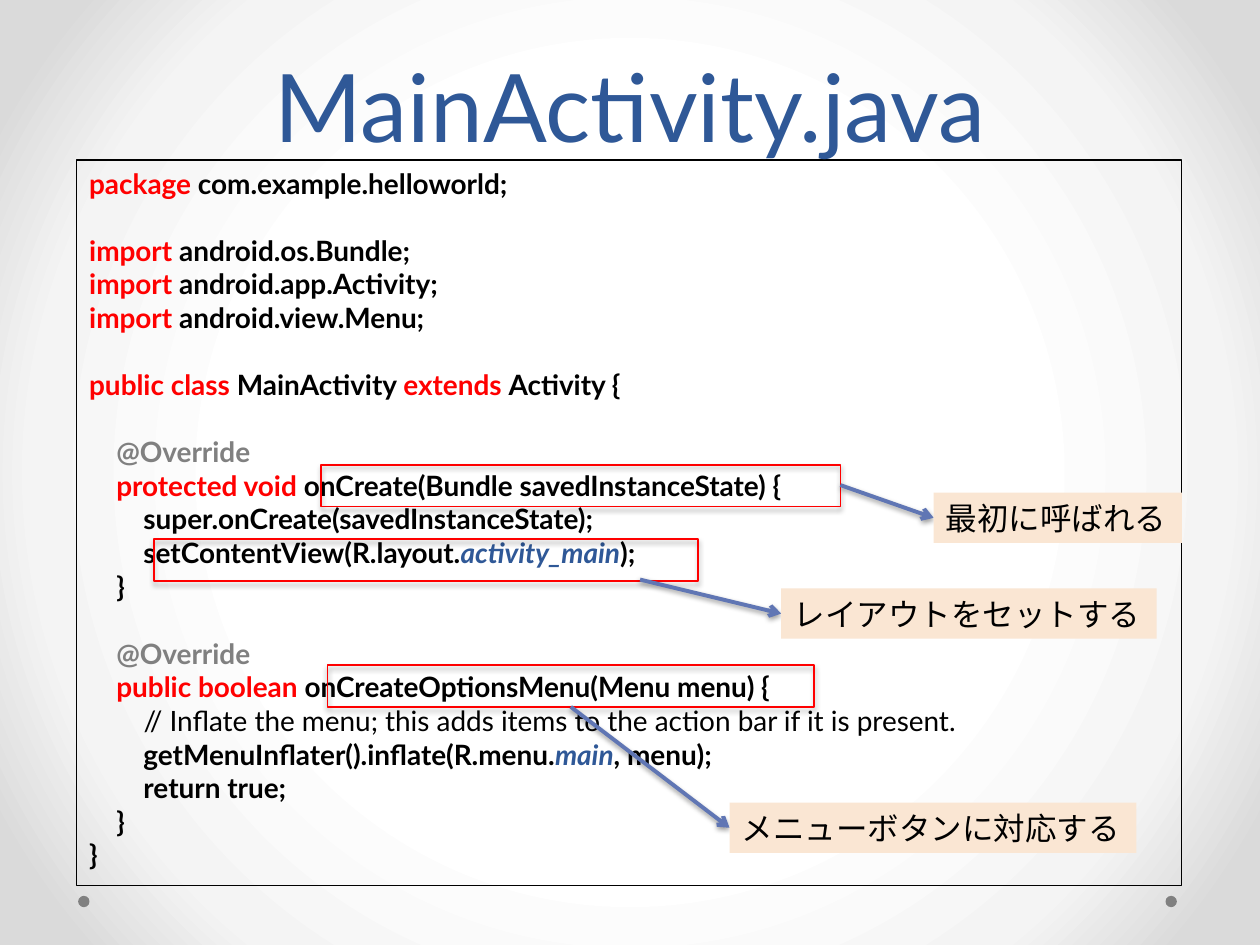
from lxml.etree import SubElement
from pptx import Presentation
from pptx.dml.color import RGBColor
from pptx.enum.shapes import MSO_CONNECTOR, MSO_SHAPE
from pptx.enum.text import MSO_ANCHOR, MSO_AUTO_SIZE, PP_ALIGN
from pptx.oxml import parse_xml
from pptx.oxml.ns import nsdecls, qn
from pptx.util import Inches, Pt

FONT = "Lato"
BLACK = "000000"
RED = "FF0000"
GRAY = "808080"
BLUE = "2F5897"
ARROW_BLUE = "6076B4"
PEACH = "FAE6D3"
CODE_LINE = 19.2

KEYWORD = {"color": RED, "bold": True}
PLAIN = {"color": BLACK, "bold": True}
ANNOTATION = {"color": GRAY, "bold": True}
RESOURCE = {"color": BLUE, "bold": True, "italic": True}
COMMENT = {"color": BLACK}

CODE_BLOCKS = [
    [[("package ", KEYWORD), ("com.example.helloworld;", PLAIN)]],
    [
        [("import ", KEYWORD), (name, PLAIN)]
        for name in ("android.os.Bundle;", "android.app.Activity;", "android.view.Menu;")
    ],
    [[("public class ", KEYWORD), ("MainActivity ", PLAIN),
      ("extends ", KEYWORD), ("Activity {", PLAIN)]],
    [
        [("    @Override", ANNOTATION)],
        [("    protected void ", KEYWORD), ("onCreate(Bundle savedInstanceState) {", PLAIN)],
        [("        super.onCreate(savedInstanceState);", PLAIN)],
        [("        setContentView(R.layout.", PLAIN), ("activity_main", RESOURCE), (");", PLAIN)],
        [("    }", PLAIN)],
    ],
    [
        [("    @Override", ANNOTATION)],
        [("    public boolean ", KEYWORD), ("onCreateOptionsMenu(Menu menu) {", PLAIN)],
        [("        ", PLAIN),
         ("// Inflate the menu; this adds items to the action bar if it is present.", COMMENT)],
        [("        getMenuInflater().inflate(R.menu.", PLAIN), ("main", RESOURCE),
         (", menu);", PLAIN)],
        [("        return true;", PLAIN)],
        [("    }", PLAIN)],
        [("}", PLAIN)],
    ],
]

CALLOUTS = [
    ("メニューボタンに対応する", (2.6, 5.28, 3.86, 0.33), (4.53, 5.61), (5.79, 6.37, 3.23, 0.4)),
    ("最初に呼ばれる", (2.55, 3.69, 4.12, 0.33), (6.67, 3.85), (7.41, 3.91, 1.97, 0.4)),
    ("レイアウトをセットする", (1.22, 4.28, 4.32, 0.33), (5.08, 4.6), (6.2, 4.67, 2.98, 0.4)),
]


def rgb(value):
    return RGBColor.from_string(value)


def add_text(paragraph, text, size=16, color=BLACK, bold=False, italic=False):
    run = paragraph.add_run()
    run.text = text
    run.font.name = FONT
    run.font.size = Pt(size)
    run.font.bold = bold
    run.font.italic = italic
    run.font.color.rgb = rgb(color)


def add_box(slide, box, fill=None, line=None, width=1, kind=MSO_SHAPE.RECTANGLE):
    shape = slide.shapes.add_shape(kind, *map(Inches, box))
    if fill:
        shape.fill.solid()
        shape.fill.fore_color.rgb = rgb(fill)
    else:
        shape.fill.background()
    if line:
        shape.line.color.rgb = rgb(line)
        shape.line.width = Pt(width)
    else:
        shape.line.fill.background()
    shape.shadow.inherit = False
    frame = shape.text_frame
    frame.vertical_anchor = MSO_ANCHOR.TOP
    frame.paragraphs[0].alignment = PP_ALIGN.LEFT
    return shape


def add_shadow(shape, distance, opacity):
    properties = shape._element.spPr
    effects = properties.find(qn("a:effectLst"))
    if effects is None:
        effects = SubElement(properties, qn("a:effectLst"))
    effects.append(parse_xml(
        f'<a:outerShdw {nsdecls("a")} blurRad="{Pt(3.1)}" dist="{Pt(distance)}" '
        f'dir="5400000" rotWithShape="0"><a:srgbClr val="{BLACK}">'
        f'<a:alpha val="{opacity * 1000}"/></a:srgbClr></a:outerShdw>'
    ))


def add_background(slide):
    slide.background.fill.solid()
    properties = slide.background._cSld.bg.bgPr
    stops = "".join(
        f'<a:gs pos="{position * 1000}"><a:srgbClr val="{color}"/></a:gs>'
        for position, color in ((50, "FFFFFF"), (76, "F4F4F4"), (92, "DADADA"))
    )
    gradient = parse_xml(
        f'<a:gradFill {nsdecls("a")} rotWithShape="1"><a:gsLst>{stops}</a:gsLst>'
        '<a:path path="circle"><a:fillToRect l="50000" t="50000" r="50000" b="50000"/>'
        '</a:path></a:gradFill>'
    )
    properties.replace(properties.find(qn("a:solidFill")), gradient)
    for left in (9.25, 0.62):
        add_box(slide, (left, 7.11, 0.09, 0.09), fill=GRAY, kind=MSO_SHAPE.OVAL)


def add_code(slide, box):
    frame = add_box(slide, box, line=BLACK, width=0.75).text_frame
    frame.word_wrap = True
    frame.auto_size = MSO_AUTO_SIZE.SHAPE_TO_FIT_TEXT
    for block_index, block in enumerate(CODE_BLOCKS):
        for line_index, runs in enumerate(block):
            first = block_index == line_index == 0
            paragraph = frame.paragraphs[0] if first else frame.add_paragraph()
            paragraph.alignment = PP_ALIGN.LEFT
            if block_index and line_index == 0:
                paragraph.space_before = Pt(CODE_LINE)
            for text, style in runs:
                add_text(paragraph, text, **style)


def add_title(slide, box):
    frame = slide.shapes.add_textbox(*map(Inches, box)).text_frame
    frame.word_wrap = True
    frame.vertical_anchor = MSO_ANCHOR.MIDDLE
    paragraph = frame.paragraphs[0]
    paragraph.alignment = PP_ALIGN.CENTER
    paragraph.line_spacing = Pt(58)
    add_text(paragraph, "MainActivity.java", size=54, color=BLUE)


def add_callout(slide, text, highlight, start, box):
    add_shadow(add_box(slide, highlight, line=RED), 1.8, 35)
    left, top, _, height = box
    arrow = slide.shapes.add_connector(
        MSO_CONNECTOR.STRAIGHT, *map(Inches, (*start, left, top + height / 2))
    )
    arrow.line.color.rgb = rgb(ARROW_BLUE)
    arrow.line.width = Pt(2.25)
    SubElement(arrow.line._get_or_add_ln(), qn("a:tailEnd"), type="arrow")
    add_shadow(arrow, 1.6, 38)
    frame = add_box(slide, box, fill=PEACH).text_frame
    frame.word_wrap = False
    frame.auto_size = MSO_AUTO_SIZE.SHAPE_TO_FIT_TEXT
    add_text(frame.paragraphs[0], text, size=18)


def main():
    presentation = Presentation()
    presentation.slide_width = Inches(10)
    presentation.slide_height = Inches(7.5)
    slide = presentation.slides.add_slide(presentation.slide_layouts[6])
    add_background(slide)
    add_code(slide, (0.61, 1.27, 8.77, 5.76))
    add_title(slide, (0.5, 0, 9, 1.75))
    for callout in CALLOUTS:
        add_callout(slide, *callout)
    presentation.save("out.pptx")


if __name__ == "__main__":
    main()
